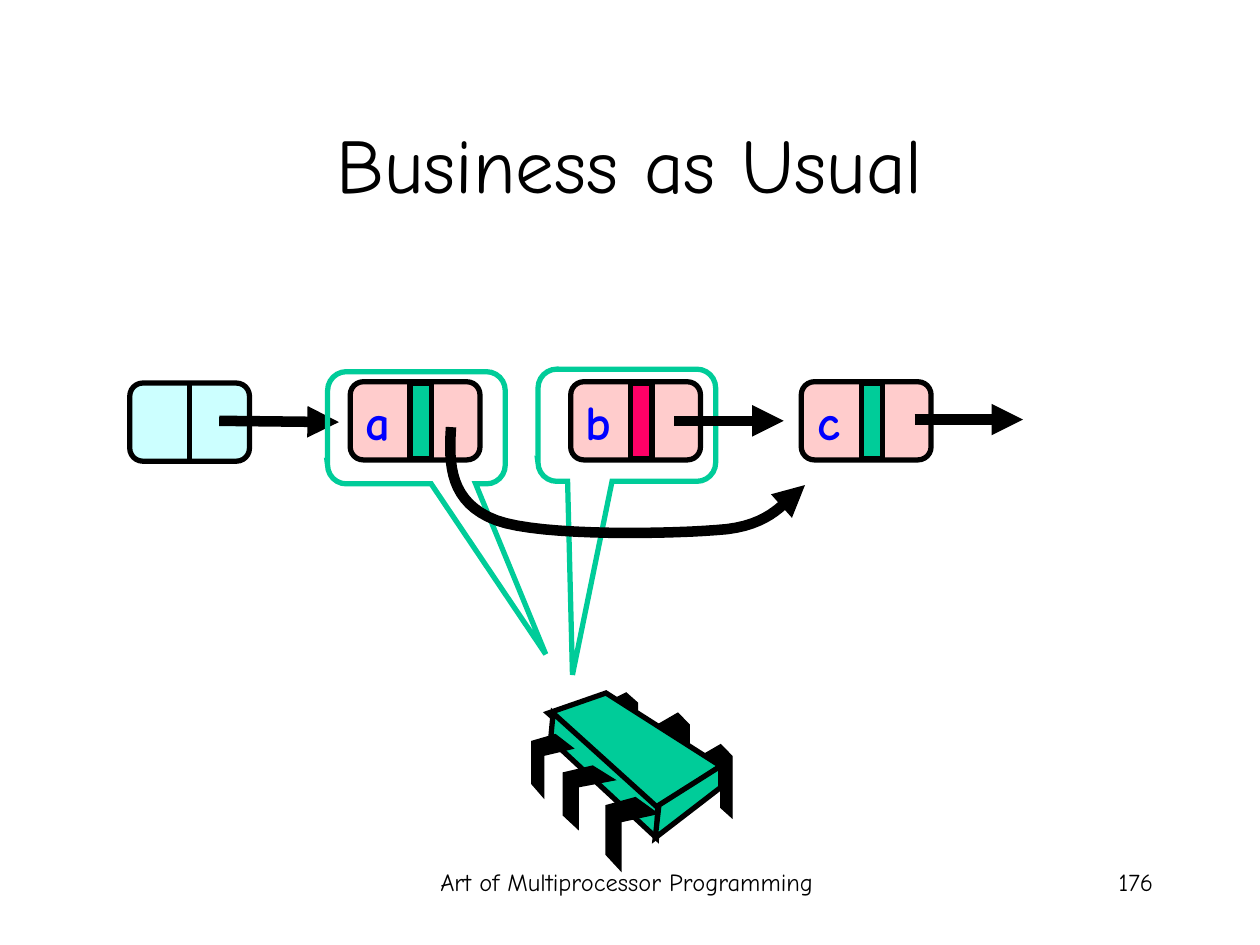
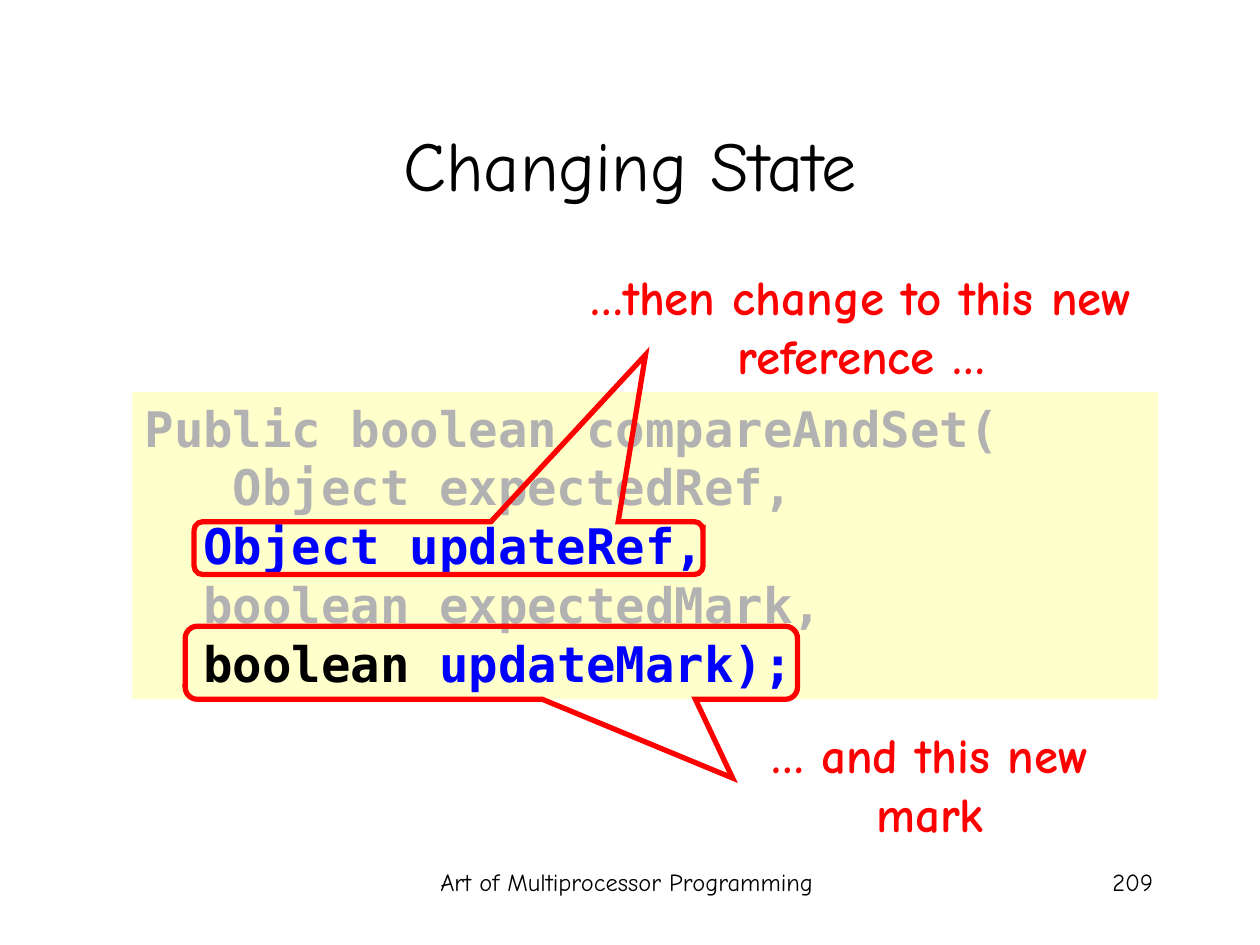
from lxml import etree
from pptx import Presentation
from pptx import util as u
from pptx.dml.color import RGBColor
from pptx.enum import shapes, text
from pptx.oxml.ns import qn

WIDTH, HEIGHT = u.Inches(10), u.Inches(7.5)
COL, ROW = WIDTH / 100, HEIGHT / 75
FONT, CODE_FONT = "Comic Neue", "DejaVu Sans Mono"
COLORS = {
    "black": "000000", "blue": "0000FF", "red": "FF0000", "gray": "B2B2B2",
    "green": "00CC99", "pink": "FFCCCC", "crimson": "FF0066",
    "cyan": "CCFFFF", "yellow": "FFFFCC",
}
BACK_LEG = [(0, .16), (.64, 0), (1, .16), (1, 1), (.64, .86), (.64, .29), (0, .43)]
FRONT_LEG = [(.57, 0), (1, .22), (.29, .33), (.29, 1), (0, .78), (0, .11)]
NODE_TOP, NODE_HEIGHT = 30.3, 6.2


def rgb(name):
    return RGBColor.from_string(COLORS[name])


def grid(col, row):
    return round(col * COL), round(row * ROW)


def area(col, row, cols, rows):
    return (*grid(col, row), *grid(cols, rows))


def paint(sp, fill, line, width):
    sp.shadow.inherit = False
    if fill:
        sp.fill.solid()
        sp.fill.fore_color.rgb = rgb(fill)
    else:
        sp.fill.background()
    if line:
        sp.line.color.rgb = rgb(line)
        sp.line.width = u.Pt(width)
        ln = sp.element.spPr.find(qn("a:ln"))
        etree.SubElement(ln, qn("a:miter"), lim="800000")
    else:
        sp.line.fill.background()
    return sp


def add_block(s, kind, box, fill=None, line="black", width=3):
    return paint(s.shapes.add_shape(kind, *area(*box)), fill, line, width)


def add_callout(s, box, tip, line):
    sp = add_block(s, shapes.MSO_SHAPE.ROUNDED_RECTANGULAR_CALLOUT, box, None, line)
    for i, value in enumerate((*tip, .167)):
        sp.adjustments[i] = value


def add_outline(s, points, fill="black", width=3, close=True):
    start, *rest = [grid(*point) for point in points]
    builder = s.shapes.build_freeform(*start)
    builder.add_line_segments(rest, close=close)
    return paint(builder.convert_to_shape(), fill, "black", width)


def add_arrowhead(sp):
    ln = sp.element.spPr.find(qn("a:ln"))
    etree.SubElement(ln, qn("a:tailEnd"), type="triangle")


def add_line(s, start, end, width=3):
    c = s.shapes.add_connector(shapes.MSO_CONNECTOR.STRAIGHT, *grid(*start), *grid(*end))
    c.line.color.rgb = rgb("black")
    c.line.width = u.Pt(width)
    etree.SubElement(c.element.spPr, qn("a:effectLst"))
    return c


def add_arrow(s, start, end):
    add_arrowhead(add_line(s, start, end, 6))


def style(p, size, color=None, bold=False, font=FONT, align=text.PP_ALIGN.CENTER):
    p.alignment = align
    p.font.name, p.font.size, p.font.bold = font, u.Pt(size), bold
    if color:
        p.font.color.rgb = rgb(color)


def add_label(s, box, words, size, color, bold=False, align=text.PP_ALIGN.CENTER, wrap=True):
    tf = s.shapes.add_textbox(*area(*box)).text_frame
    tf.word_wrap = wrap
    tf.text = words
    style(tf.paragraphs[0], size, color, bold, align=align)


def add_slide(prs, title, size, number):
    s = prs.slides.add_slide(prs.slide_layouts[5])
    sp = s.shapes.title
    sp.left, sp.top, sp.width, sp.height = area(7.5, 6.7, 85, 12.5)
    tf = sp.text_frame
    tf.text = title
    tf.auto_size = text.MSO_AUTO_SIZE.NONE
    tf.vertical_anchor = text.MSO_ANCHOR.MIDDLE
    style(tf.paragraphs[0], size, "black")
    add_label(s, (31, 68.3, 37.5, 5), "Art of Multiprocessor Programming", 14, "black")
    add_label(s, (71.7, 68.3, 20.8, 5), number, 14, "black", align=text.PP_ALIGN.RIGHT)
    return s


def add_head(s):
    box = (10.3, 30.4, 9.5, NODE_HEIGHT)
    sp = add_block(s, shapes.MSO_SHAPE.ROUNDED_RECTANGLE, box, "cyan")
    divider = add_line(s, (15.1, 30.4), (15.1, 36.6))
    divider.begin_connect(sp, 0)
    divider.end_connect(sp, 2)


def add_node(s, left, letter, mark):
    box = (left, NODE_TOP, 10.3, NODE_HEIGHT)
    add_block(s, shapes.MSO_SHAPE.ROUNDED_RECTANGLE, box, "pink")
    add_line(s, (left + 4.8, NODE_TOP - .1), (left + 4.8, NODE_TOP + 6.3))
    add_label(s, (left + .2, NODE_TOP + .3, 3.9, 5.7), letter, 28, "blue", True,
              text.PP_ALIGN.RIGHT, False)
    add_block(s, shapes.MSO_SHAPE.RECTANGLE, (left + 4.75, NODE_TOP + .1, 1.7, 6), mark)


def bezier(a, b, c, d, steps=16):
    for i in range(1, steps + 1):
        t = i / steps
        weights = (1 - t) ** 3, 3 * t * (1 - t) ** 2, 3 * t * t * (1 - t), t ** 3
        yield tuple(sum(w * p[axis] for w, p in zip(weights, (a, b, c, d))) for axis in (0, 1))


def add_bypass(s):
    knots = [(35.8, 33.9), (35.6, 36.9), (35.7, 39.9), (39.4, 41.3), (43, 42.6),
             (53.6, 42.4), (57.7, 42), (61.8, 41.5), (62.6, 39.2), (63.9, 38.5)]
    points = knots[:1]
    for i in range(0, len(knots) - 1, 3):
        points += bezier(*knots[i:i + 4])
    add_arrowhead(add_outline(s, points, None, 6, close=False))


def add_leg(s, outline, col, row, cols, rows):
    add_outline(s, [(col + x * cols, row + y * rows) for x, y in outline], width=.75)


def add_chip(s):
    for box in ((55.6, 59.1, 2.5, 5.8), (52.2, 56.6, 2.5, 5.8), (48.1, 55, 2.5, 5)):
        add_leg(s, BACK_LEG, *box)
    top = [(48.1, 55), (57.2, 60.8), (52.1, 64.2), (43.5, 56.6)]
    front = [(43.9, 56.6), (52.2, 64.1), (52.1, 66.5), (43.7, 58.7)]
    end = [(57.2, 60.8), (57.2, 62.5), (52, 66.5), (52.3, 63.9)]
    for face in (top, front, end):
        add_outline(s, face, "green")
    for box in ((48.1, 63.3, 4.1, 5.8), (44.7, 60.8, 4.1, 5), (42.2, 58.3, 3.3, 5)):
        add_leg(s, FRONT_LEG, *box)


def add_code(s, box, lines):
    sp = add_block(s, shapes.MSO_SHAPE.RECTANGLE, box, "yellow", None)
    tf = sp.text_frame
    tf.word_wrap = True
    tf.vertical_anchor = text.MSO_ANCHOR.TOP
    for i, line in enumerate(lines):
        p = tf.add_paragraph() if i else tf.paragraphs[0]
        style(p, 28, None, True, CODE_FONT, text.PP_ALIGN.LEFT)
        for words, color in line:
            r = p.add_run()
            r.text = words
            r.font.color.rgb = rgb(color)


def build_list_slide(prs):
    s = add_slide(prs, "Business as Usual", 44, "176")
    add_callout(s, (42.7, 29.3, 14.1, 8.9), (-.306, 2.225), "green")
    add_head(s)
    add_arrow(s, (17.4, 33.4), (26.9, 33.5))
    for left, letter, mark in ((27.8, "a", "green"), (45.3, "b", "crimson"), (63.6, "c", "green")):
        add_node(s, left, letter, mark)
    add_arrow(s, (53.5, 33.4), (62.2, 33.4))
    add_arrow(s, (72.6, 33.3), (81.2, 33.3))
    add_callout(s, (26, 29.5, 14.1, 8.9), (.728, 2.019), "green")
    add_bypass(s)
    add_chip(s)


def build_code_slide(prs):
    s = add_slide(prs, "Changing State", 40, "209")
    add_code(s, (10.5, 31.1, 81.4, 24.4), [
        [("Public boolean compareAndSet(", "gray")],
        [("   Object expectedRef,", "gray")],
        [("  Object updateRef,", "blue")],
        [("  boolean expectedMark,", "gray")],
        [("  boolean", "black"), (" updateMark);", "blue")],
    ])
    add_callout(s, (14.7, 49.7, 48.6, 5.8), (.394, 1.578), "red")
    add_label(s, (43.9, 20.7, 48.9, 10.4), "…then change to this new reference …", 28, "red", True)
    add_callout(s, (15.4, 41.4, 40.4, 4.2), (.387, -3.652), "red")
    add_label(s, (56.4, 57, 34.8, 10.4), "… and this new mark", 28, "red", True)


def main():
    prs = Presentation()
    prs.slide_width, prs.slide_height = WIDTH, HEIGHT
    build_list_slide(prs)
    build_code_slide(prs)
    prs.save("out.pptx")


if __name__ == "__main__":
    main()
